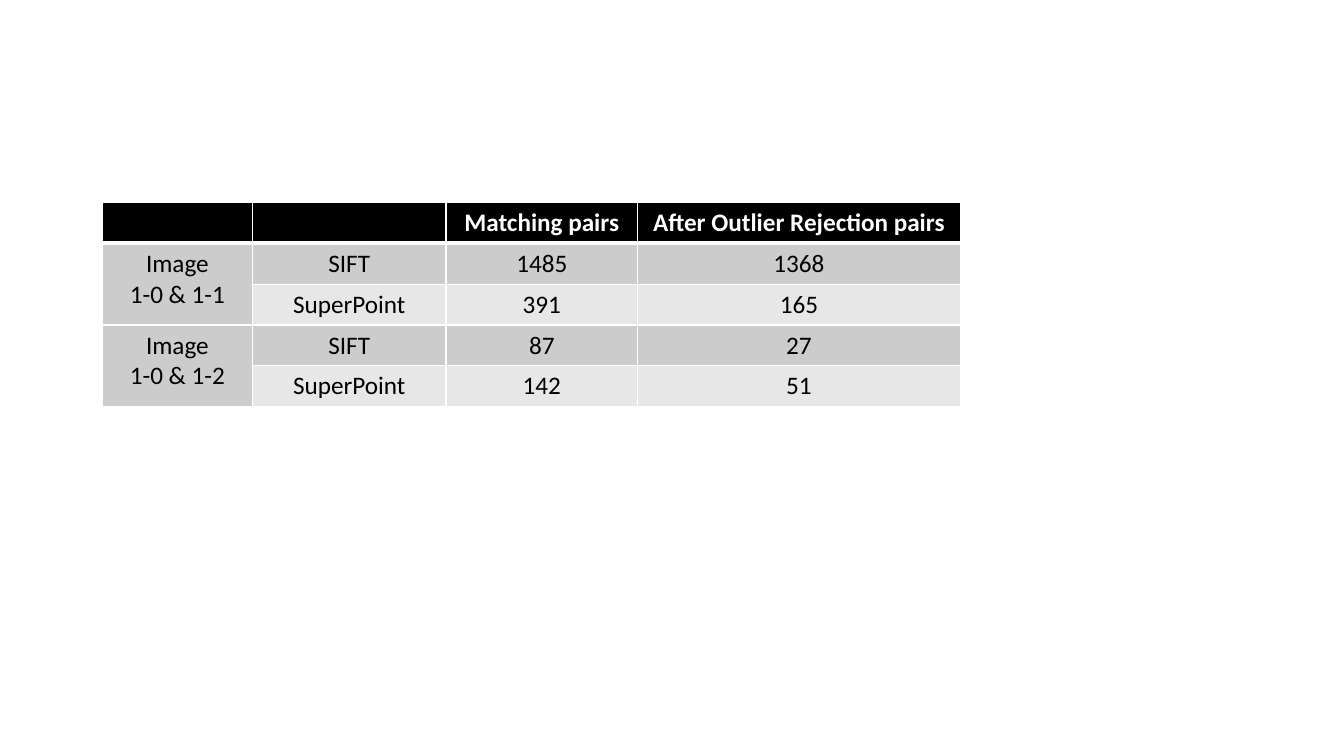
from dataclasses import dataclass

from lxml.etree import SubElement
from pptx import Presentation
from pptx.dml.color import RGBColor
from pptx.enum.text import PP_ALIGN
from pptx.oxml.ns import qn
from pptx.util import Cm, Pt


@dataclass(frozen=True)
class Theme:
    font: str = "Calibri"
    size: int = 18
    header_fill: str = "000000"
    header_text: str = "FFFFFF"
    body_text: str = "000000"
    band_fills: tuple = ("CCCCCC", "E7E7E7")
    border: str = "FFFFFF"
    thin: int = 1
    thick: int = 3


THEME = Theme()
COLUMN_WIDTHS = (3.78, 4.88, 4.83, 8.13)
ROWS = (
    ("", "", "Matching pairs", "After Outlier Rejection pairs"),
    ("Image\n1-0 & 1-1", "SIFT", "1485", "1368"),
    ("", "SuperPoint", "391", "165"),
    ("Image\n1-0 & 1-2", "SIFT", "87", "27"),
    ("", "SuperPoint", "142", "51"),
)


def add_borders(cell, top, bottom):
    properties = cell._tc.get_or_add_tcPr()
    widths = {"a:lnL": THEME.thin, "a:lnR": THEME.thin, "a:lnT": top, "a:lnB": bottom}
    for tag, width in widths.items():
        line = SubElement(properties, qn(tag), w=str(Pt(width)))
        fill = SubElement(line, qn("a:solidFill"))
        SubElement(fill, qn("a:srgbClr"), val=THEME.border)


def format_cell(cell, text, row_index):
    is_header = row_index == 0
    add_borders(
        cell,
        top=THEME.thick if row_index == 1 else THEME.thin,
        bottom=THEME.thick if is_header else THEME.thin,
    )
    fill = THEME.header_fill if is_header else THEME.band_fills[(row_index - 1) % 2]
    cell.fill.solid()
    cell.fill.fore_color.rgb = RGBColor.from_string(fill)
    paragraph = cell.text_frame.paragraphs[0]
    paragraph.text = text
    paragraph.alignment = PP_ALIGN.CENTER
    color = THEME.header_text if is_header else THEME.body_text
    for run in paragraph.runs:
        run.font.name = THEME.font
        run.font.size = Pt(THEME.size)
        run.font.bold = is_header
        run.font.color.rgb = RGBColor.from_string(color)


def add_matching_table(slide, left, top, width, height):
    table = slide.shapes.add_table(
        len(ROWS), len(COLUMN_WIDTHS), Cm(left), Cm(top), Cm(width), Cm(height)
    ).table
    for column, share in zip(table.columns, COLUMN_WIDTHS):
        column.width = Cm(width * share / sum(COLUMN_WIDTHS))
    for row_index, texts in enumerate(ROWS):
        table.rows[row_index].height = Cm(height / len(ROWS))
        for column_index, text in enumerate(texts):
            format_cell(table.cell(row_index, column_index), text, row_index)
    for first_row in range(1, len(ROWS), 2):
        table.cell(first_row, 0).merge(table.cell(first_row + 1, 0))


def main():
    presentation = Presentation()
    presentation.slide_width = Cm(33.87)
    presentation.slide_height = Cm(19.05)
    slide = presentation.slides.add_slide(presentation.slide_layouts[6])
    add_matching_table(slide, left=2.58, top=5.1, width=21.62, height=5.15)
    presentation.save("out.pptx")


if __name__ == "__main__":
    main()
